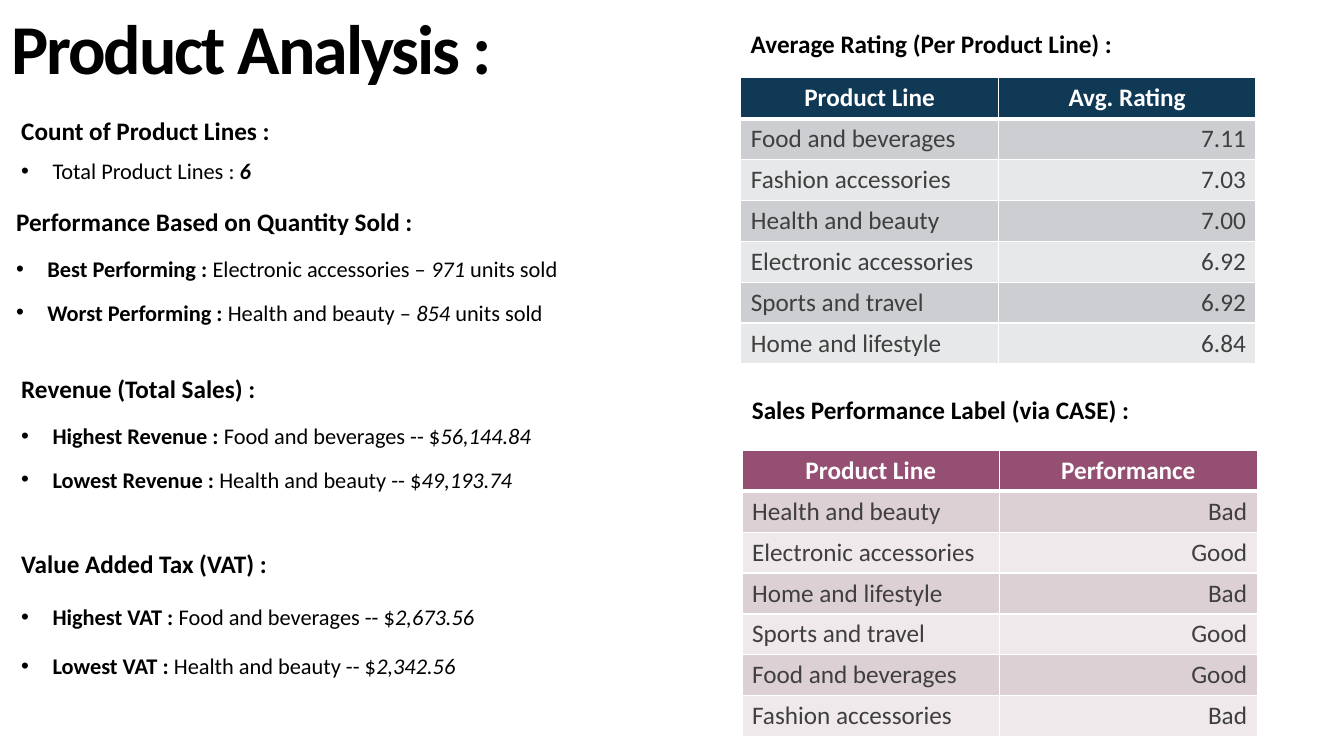
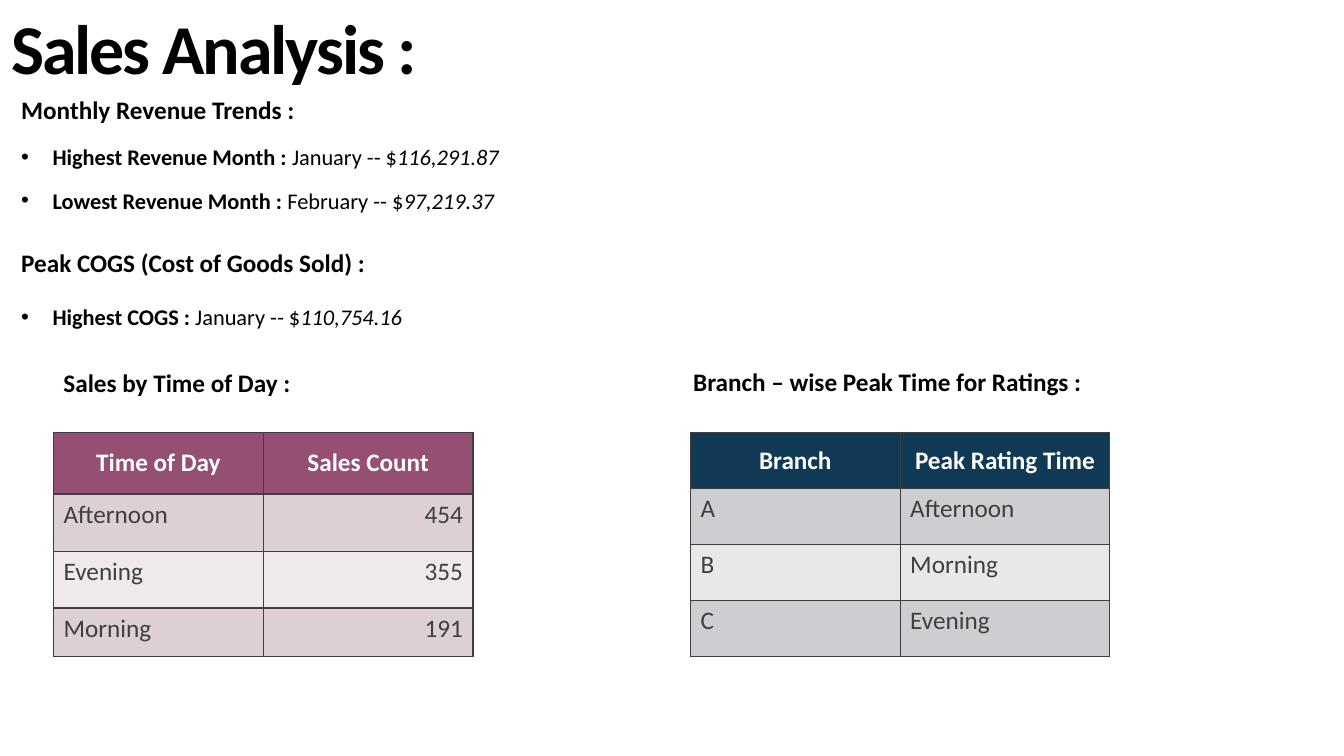
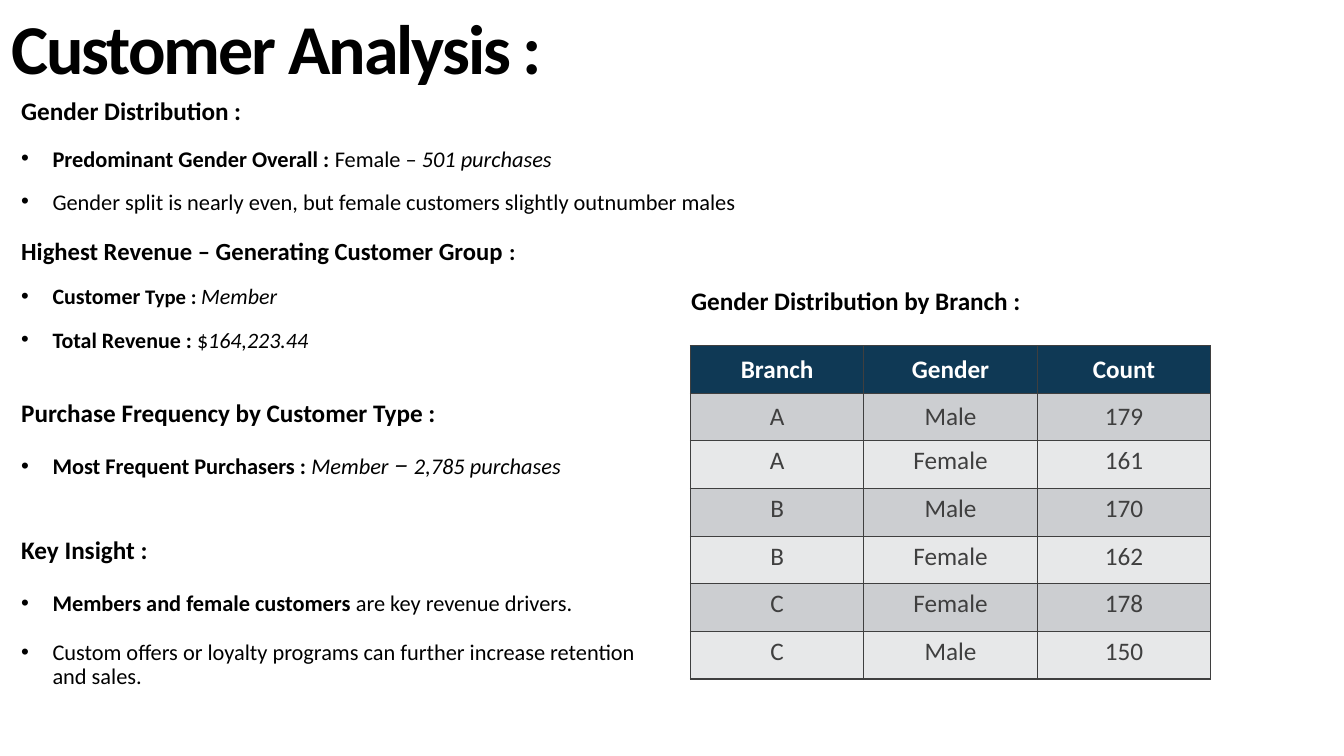
from dataclasses import dataclass
from lxml.etree import SubElement
from pptx import Presentation
from pptx.dml.color import RGBColor
from pptx.enum.text import MSO_ANCHOR, MSO_AUTO_SIZE, PP_ALIGN
from pptx.oxml.ns import qn
from pptx.util import Cm, Pt


@dataclass(frozen=True)
class Theme:
    font: str = "Calibri"
    alt: str = "Roboto"
    ink: str = "000000"
    soft: str = "3F3F3F"
    white: str = "FFFFFF"
    navy: tuple = ("0F3955", "CCCED1", "E7E8E9")
    plum: tuple = ("954F72", "DDD0D5", "EFE9EB")
    title: float = 50
    head: float = 18
    item: float = 16
    line: float = 1.22


LOOK = Theme()
ALIGN = {"l": PP_ALIGN.LEFT, "c": PP_ALIGN.CENTER, "r": PP_ALIGN.RIGHT}
LEFT = 0.28


def write(par, text, size=LOOK.head, bold=False, slant=False,
          font=LOOK.font, ink=LOOK.ink, track=0):
    run = par.add_run()
    run.text = text
    face = run.font
    face.size, face.bold, face.italic, face.name = Pt(size), bold, slant, font
    face.color.rgb = RGBColor.from_string(ink)
    if track:
        run._r.get_or_add_rPr().set("spc", str(track))


def place(shape, box):
    shape.left, shape.top, shape.width, shape.height = map(Cm, box)
    frame = shape.text_frame
    frame.word_wrap = True
    frame.auto_size = MSO_AUTO_SIZE.NONE
    frame.vertical_anchor = MSO_ANCHOR.MIDDLE
    return frame


def space(par, lead, gap=0):
    par.alignment = PP_ALIGN.LEFT
    par.line_spacing = lead
    par.space_before = Pt(round(gap, 1))
    par.space_after = Pt(0)


def mark(par, sign=None):
    props = par._p.get_or_add_pPr()
    step = Cm(0.79) if sign else 0
    props.set("marL", str(step))
    props.set("indent", str(-step))
    if sign:
        SubElement(props, qn("a:buChar")).set("char", sign)
    else:
        SubElement(props, qn("a:buNone"))


def heading(slide, text):
    frame = place(slide.shapes.title, (LEFT, 0.25, 17.12, 2))
    frame.vertical_anchor = MSO_ANCHOR.BOTTOM
    frame.margin_left = frame.margin_bottom = 0
    frame.margin_top, frame.margin_right = Cm(0.13), Cm(0.25)
    par = frame.paragraphs[0]
    space(par, 0.9)
    write(par, text, size=LOOK.title, bold=True, track=-150)


def label(slide, box, text):
    frame = place(slide.shapes.add_textbox(0, 0, 0, 0), box)
    par = frame.paragraphs[0]
    space(par, 0.9)
    write(par, text, bold=True)


def section(shape, box, head, items, lead=0.9, gaps=None):
    frame = place(shape, box)
    par = frame.paragraphs[0]
    mark(par)
    space(par, lead)
    for text, form in head:
        write(par, text, **{"bold": True, **form})
    for spot, runs in enumerate(items):
        par = frame.add_paragraph()
        mark(par, "•")
        size = LOOK.item if spot else LOOK.head
        gap = gaps if gaps else size * LOOK.line * lead
        space(par, lead, gap)
        for text, form in runs:
            write(par, text, **{"size": LOOK.item, **form})


def edge(cell, tints):
    props = cell._tc.get_or_add_tcPr()
    for side, (tint, width) in zip("LRTB", tints):
        line = SubElement(props, qn("a:ln" + side))
        line.set("w", str(Pt(width)))
        fill = SubElement(line, qn("a:solidFill"))
        SubElement(fill, qn("a:srgbClr")).set("val", tint)


def grid(slide, box, data, tints, aligns, rows, rule=LOOK.soft, thick=1, mids=1):
    left, top, width = box
    wide = len(data[0])
    frame = slide.shapes.add_table(len(data), wide, Cm(left), Cm(top),
                                   Cm(width), Cm(sum(rows)))
    table = frame.table
    table.first_row = table.horz_banding = False
    for col in table.columns:
        col.width = Cm(width / wide)
    for r, (tall, line) in enumerate(zip(rows, data)):
        table.rows[r].height = Cm(tall)
        tint = tints[0] if r == 0 else tints[2 - r % 2]
        for c, text in enumerate(line):
            cell = table.cell(r, c)
            edge(cell, [(rule, 1), (rule, 1), (rule, thick if r == 1 else 1),
                        (rule, thick if r == 0 else 1)])
            cell.fill.solid()
            cell.fill.fore_color.rgb = RGBColor.from_string(tint)
            cell.vertical_anchor = MSO_ANCHOR.MIDDLE if r < mids else MSO_ANCHOR.TOP
            par = cell.text_frame.paragraphs[0]
            par.alignment = ALIGN[aligns[c] if r else "c"]
            write(par, text, bold=r == 0, ink=LOOK.soft if r else LOOK.white)


def page(deck, title, parts):
    slide = deck.slides.add_slide(deck.slide_layouts[4])
    heading(slide, title)
    slots = [s for s in slide.placeholders if s.placeholder_format.idx]
    for slot, part in zip(slots, parts):
        section(slot, **part)
    for slot in slots[len(parts):]:
        slot._element.getparent().remove(slot._element)
    return slide


def plain(text, **form):
    return text, form


def bold(text, **form):
    return text, {"bold": True, **form}


def slant(text, **form):
    return text, {"slant": True, **form}


def part(top, tall, head, *items, width=17.12, left=LEFT, **form):
    head = [plain(head)] if isinstance(head, str) else head
    return dict(box=(left, top, width, tall), head=head, items=items, **form)


def product(deck):
    slide = page(deck, "Product Analysis :", [
        part(2.77, 2.11, "Count of Product Lines :",
             [plain("Total Product Lines : "), bold("6", slant=True)], gaps=10),
        part(5.21, 3.12, "Performance Based on Quantity Sold :",
             [bold("Best Performing : "), plain("Electronic accessories – "),
              slant("971"), plain(" units sold")],
             [bold("Worst Performing : "), plain("Health and beauty – "),
              slant("854"), plain(" units sold")], left=0.15, lead=0.8),
        part(9.42, 3.12, "Revenue (Total Sales) :",
             [bold("Highest Revenue : "), plain("Food and beverages -- $"),
              slant("56,144.84")],
             [bold("Lowest Revenue : "), plain("Health and beauty -- $"),
              slant("49,193.74")], lead=0.8),
        part(13.56, 3.89, "Value Added Tax (VAT) :",
             [bold("Highest VAT : "), plain("Food and beverages -- $"),
              slant("2,673.56")],
             [bold("Lowest VAT :"), plain(" Health and beauty -- $"),
              slant("2,342.56")])])
    form = dict(aligns="lr", rows=[1.03] * 7, rule=LOOK.white, thick=3)
    label(slide, (18.67, 0.53, 13.54, 1.24), "Average Rating (Per Product Line) :")
    grid(slide, (18.67, 1.96, 12.98), [
        ("Product Line", "Avg. Rating"), ("Food and beverages", "7.11"),
        ("Fashion accessories", "7.03"), ("Health and beauty", "7.00"),
        ("Electronic accessories", "6.92"), ("Sports and travel", "6.92"),
        ("Home and lifestyle", "6.84")], LOOK.navy, **form)
    label(slide, (18.7, 9.75, 13.54, 1.24), "Sales Performance Label (via CASE) :")
    grid(slide, (18.7, 11.35, 12.98), [
        ("Product Line", "Performance"), ("Health and beauty", "Bad"),
        ("Electronic accessories", "Good"), ("Home and lifestyle", "Bad"),
        ("Sports and travel", "Good"), ("Food and beverages", "Good"),
        ("Fashion accessories", "Bad")], LOOK.plum, **form)


def sales(deck):
    slide = page(deck, "Sales Analysis :", [
        part(2.39, 3.12, "Monthly Revenue Trends :",
             [bold("Highest Revenue Month : "), plain("January -- $"),
              slant("116,291.87")],
             [bold("Lowest Revenue Month : "), plain("February -- $"),
              slant("97,219.37")], lead=0.8),
        part(5.92, 2.79, "Peak COGS (Cost of Goods Sold) :",
             [bold("Highest COGS : "), plain("January -- $"),
              slant("110,754.16")])])
    label(slide, (1.35, 9.07, 10.57, 1.24), "Sales by Time of Day :")
    grid(slide, (1.35, 10.9, 10.57), [
        ("Time of Day", "Sales Count"), ("Afternoon", "454"),
        ("Evening", "355"), ("Morning", "191")],
        LOOK.plum, "lr", [1.55, 1.45, 1.42, 1.22])
    label(slide, (17.22, 9.04, 13.54, 1.24), "Branch – wise Peak Time for Ratings :")
    grid(slide, (17.4, 10.9, 10.57), [
        ("Branch", "Peak Rating Time"), ("A", "Afternoon"),
        ("B", "Morning"), ("C", "Evening")], LOOK.navy, "ll", [1.41] * 4)


def client(deck):
    small = 15.7
    slide = page(deck, "Customer Analysis :", [
        part(2.39, 3.18, "Gender Distribution :",
             [bold("Predominant Gender Overall : "), plain("Female – "),
              slant("501 purchases")],
             [plain("Gender split is nearly even, but female customers "
                    "slightly outnumber males")], width=20.55, lead=0.8),
        part(5.92, 3.12,
             [plain("Highest Revenue – Generating Customer Group ", size=17.6),
              plain(":", size=16.6)],
             [bold("Customer", size=small), bold(" Type : ", size=14.8),
              slant("Member", size=small)],
             [bold("Total Revenue : ", size=small), plain("$", size=small),
              slant("164,223.44", size=small)], lead=0.8, gaps=16.2),
        part(9.53, 3.12, "Purchase Frequency by Customer Type :",
             [bold("Most Frequent Purchasers : "), slant("Member"),
              slant(" – ", font=LOOK.alt), slant("2,785 purchases")]),
        part(12.7, 5.51, "Key Insight :",
             [bold("Members and female customers "),
              plain("are key revenue drivers.")],
             [plain("Custom offers or loyalty programs can further increase "
                    "retention and sales.")], width=16.64)])
    label(slide, (17.17, 7.01, 13.54, 1.24), "Gender Distribution by Branch :")
    grid(slide, (17.4, 8.71, 13.11), [
        ("Branch", "Gender", "Count"),
        ("A", "Male", "179"), ("A", "Female", "161"),
        ("B", "Male", "170"), ("B", "Female", "162"),
        ("C", "Female", "178"), ("C", "Male", "150")],
        LOOK.navy, "ccc", [1.2] * 7, mids=2)


def main():
    deck = Presentation()
    deck.slide_width, deck.slide_height = Cm(33.87), Cm(19.05)
    for build in (product, sales, client):
        build(deck)
    deck.save("out.pptx")


if __name__ == "__main__":
    main()
